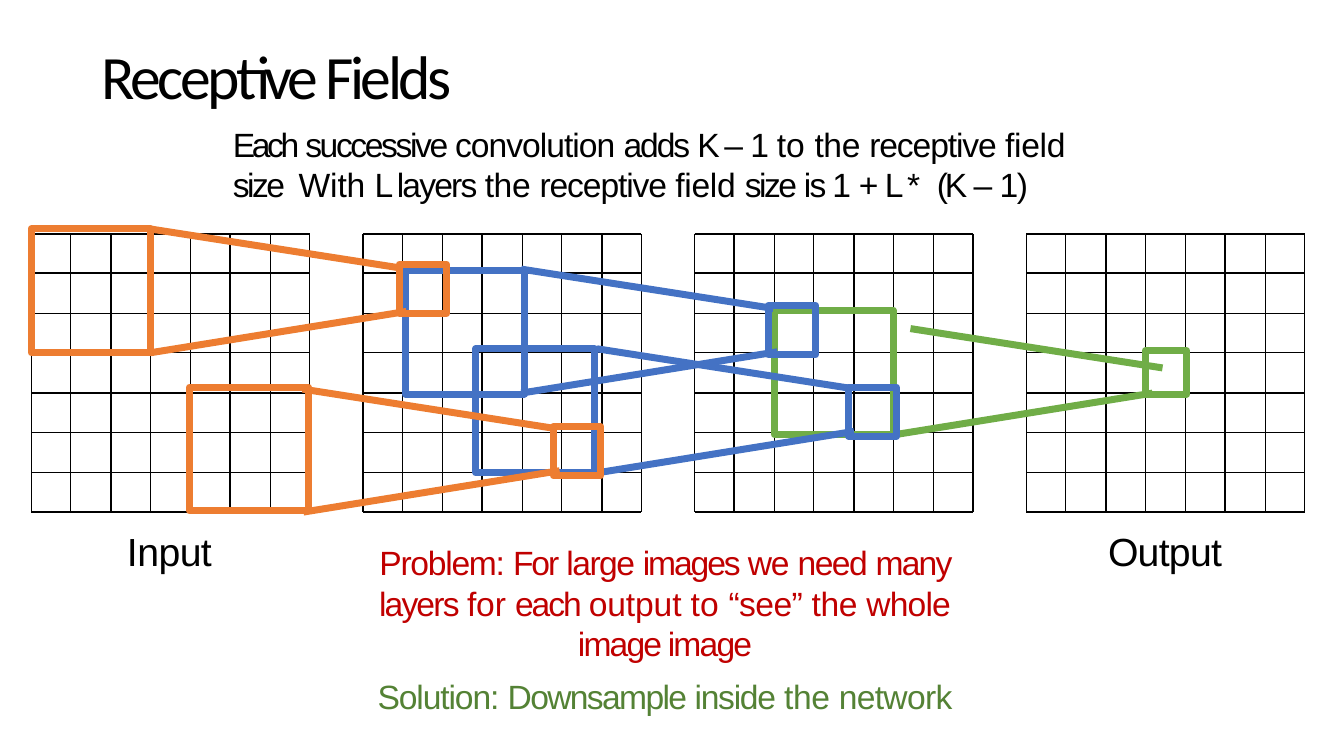
from lxml.etree import SubElement
from pptx import Presentation
from pptx.dml.color import RGBColor
from pptx.enum.shapes import MSO_CONNECTOR as CONN, MSO_SHAPE as SHAPE
from pptx.enum.text import MSO_ANCHOR as ANCHOR, MSO_AUTO_SIZE as AUTO, PP_ALIGN as ALIGN
from pptx.oxml.ns import qn
from pptx.util import Pt

PX = 9144  # 100 px to the inch
BLACK = RGBColor(0x00, 0x00, 0x00)
ORANGE = RGBColor(0xED, 0x7D, 0x31)
BLUE = RGBColor(0x44, 0x72, 0xC4)
GREEN = RGBColor(0x70, 0xAD, 0x47)
RED = RGBColor(0xC0, 0x00, 0x00)
DARK_GREEN = RGBColor(0x54, 0x82, 0x35)

GRID_TOP, GRID_LEFT, GRID_STEP = 232, 31, 329
GRID_SIZE, CELLS = 276, 7
WINDOW, CELL, OUTPUT_CELL = (118, 123), (47, 49), (41, 43)
DOWN_RAY, UP_RAY = (250, 39), (254, -41)

# Each layer: colour, outlined boxes, starts of falling and of rising rays
LAYERS = [
    (GREEN, [(768, 308, WINDOW), (1136, 348, OUTPUT_CELL)],
     [(903, 326)], [(889, 431)]),
    (BLUE, [(762, 303, CELL), (842, 384, CELL), (402, 268, WINDOW), (472, 346, WINDOW)],
     [(517, 267), (592, 346)], [(517, 390), (593, 469)]),
    (ORANGE, [(396, 262, CELL), (549, 423, CELL), (188, 384, WINDOW), (31, 227, WINDOW)],
     [(148, 227), (300, 386)], [(149, 350), (301, 508)]),
]

# Runs are pairs of text and letter spacing in points
FORMULA = [
    ("Each ", -2.4), ("successive ", -1.7), ("convolution ", -0.7), ("adds ", -1.5),
    ("K ", -3.5), ("– ", -1.4), ("1 ", -1.2), ("to ", 0.1), ("the ", -0.3),
    ("receptive ", -0.8), ("field ", -0.2), ("size", -1.8), (" ", 3.1), ("With ", -0.1),
    ("L ", -3.3), ("layers ", -1.3), ("the ", -0.3), ("receptive ", -0.8),
    ("field ", -0.2), ("size ", -1.8), ("is 1 ", -1.2), ("+ ", -2.1), ("L ", -3.3),
    ("* ", 2.6), ("(K ", -2.2), ("– ", -1.4), ("1)", -1),
]
PROBLEM = [
    ("Problem: ", -0.9), ("For ", -1.5), ("large ", -1.1), ("images ", -1.5),
    ("we ", -0.9), ("need ", -1.1), ("many layers ", -1.3), ("for ", -0.1),
    ("each ", -1.5), ("output ", -0.1), ("to ", 0.1), ("“see” ", -0.4), ("the ", -0.3),
    ("whole", -0.6), (" image image", -1.3),
]
SOLUTION = [
    ("Solution: ", -0.8), ("Downsample ", -1.2), ("inside ", -0.9), ("the ", -0.3),
    ("network", -0.5),
]


class Board:
    """Holds the slide and draws its kinds of element."""

    def __init__(self, slide, font="Arial"):
        self.shapes = slide.shapes
        self.font = font

    def line(self, x1, y1, x2, y2, color=BLACK, width=1):
        cx = self.shapes.add_connector(CONN.STRAIGHT, x1 * PX, y1 * PX, x2 * PX, y2 * PX)
        cx.line.color.rgb = color
        cx.line.width = Pt(width)
        SubElement(cx._element.spPr, qn("a:effectLst"))

    def box(self, x, y, size, color):
        w, h = size
        sp = self.shapes.add_shape(SHAPE.RECTANGLE, x * PX, y * PX, w * PX, h * PX)
        sp.shadow.inherit = False
        sp.fill.background()
        sp.line.color.rgb = color
        sp.line.width = Pt(5)
        SubElement(sp.line._get_or_add_ln(), qn("a:round"))

    def grid(self, left):
        right, bottom = left + GRID_SIZE, GRID_TOP + GRID_SIZE
        for i in range(CELLS + 1):
            offset = round(i * GRID_SIZE / CELLS)
            self.line(left + offset, GRID_TOP, left + offset, bottom)
            self.line(left, GRID_TOP + offset, right, GRID_TOP + offset)

    def text(self, x, y, w, h, runs, size, font=None, color=BLACK):
        sp = self.shapes.add_textbox(x * PX, y * PX, w * PX, h * PX)
        tf = sp.text_frame
        tf.word_wrap = True
        tf.auto_size = AUTO.SHAPE_TO_FIT_TEXT
        tf.vertical_anchor = ANCHOR.TOP
        tf.margin_left, tf.margin_top = PX, 2 * PX
        tf.margin_right = tf.margin_bottom = 0
        self.runs(tf.paragraphs[0], runs, size, font, color)
        return tf

    def runs(self, p, runs, size, font=None, color=BLACK):
        for text, spacing in runs:
            r = p.add_run()
            r.text = text
            r.font.name = font or self.font
            r.font.size = Pt(size)
            r.font.color.rgb = color
            r._r.get_or_add_rPr().set("spc", str(round(spacing * 100)))


def main():
    prs = Presentation()
    prs.slide_width, prs.slide_height = 1333 * PX, 750 * PX
    board = Board(prs.slides.add_slide(prs.slide_layouts[6]))

    # Title and formula
    board.text(100, 36, 361, 69, [("Receptive Fields", -2.5)], 44, "Calibri")
    board.text(230, 121, 873, 83, FORMULA, 24)

    # Four feature maps
    for k in range(4):
        board.grid(GRID_LEFT + k * GRID_STEP)

    # Receptive fields and their projections
    for color, boxes, falling, rising in LAYERS:
        for x, y, size in boxes:
            board.box(x, y, size, color)
        for starts, (dx, dy) in ((falling, DOWN_RAY), (rising, UP_RAY)):
            for x, y in starts:
                board.line(x, y, x + dx, y + dy, color, 5)

    # Labels under the first and last maps
    board.text(125, 521, 87, 49, [("Input", -0.4)], 28)
    board.text(1098, 521, 116, 49, [("Output", -0.5)], 28)

    # Problem and solution
    tf = board.text(333, 535, 652, 135, PROBLEM, 24, color=RED)
    p = tf.paragraphs[0]
    p.alignment = ALIGN.CENTER
    p.line_spacing = 1.01
    p._p.get_or_add_pPr().set("indent", str(-7 * PX))  # first line hangs left
    p = tf.add_paragraph()
    p.alignment = ALIGN.CENTER
    p.space_before = Pt(8.7)
    board.runs(p, SOLUTION, 24, color=DARK_GREEN)

    prs.save("out.pptx")


if __name__ == "__main__":
    main()
